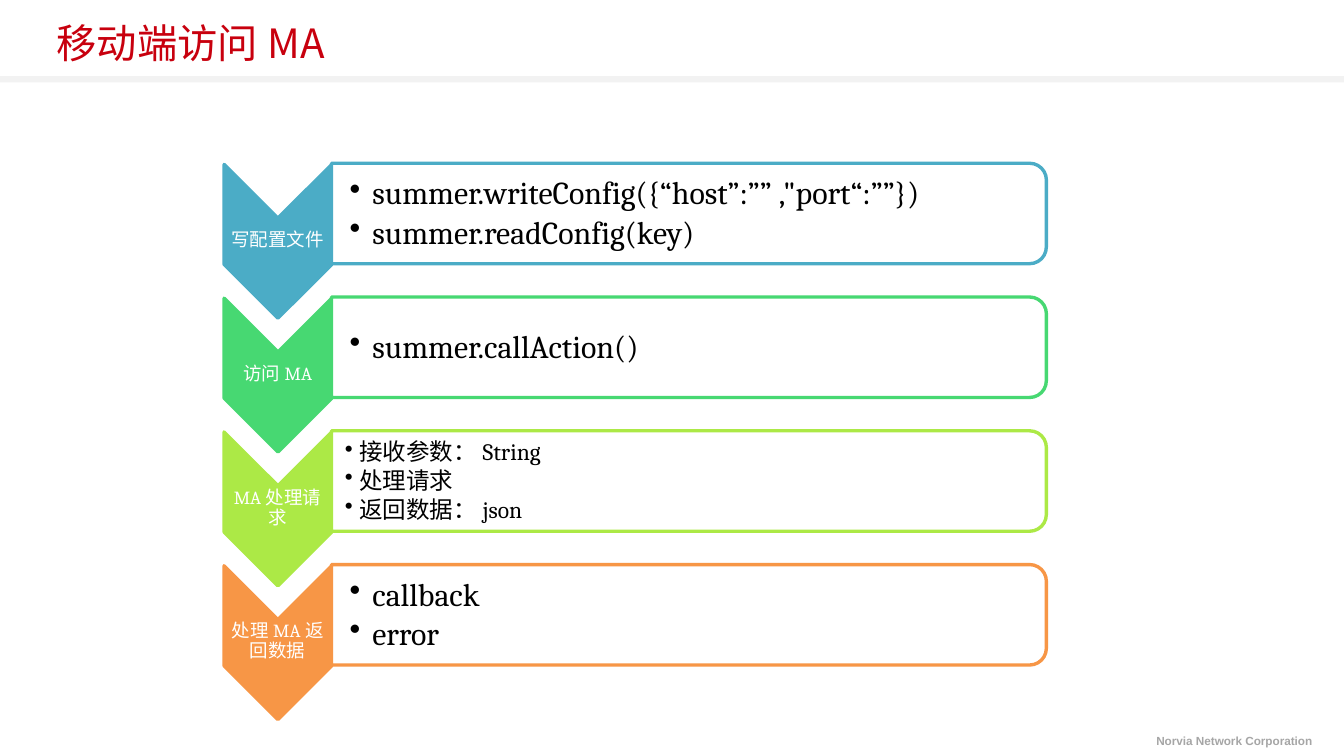
from pptx import Presentation
from pptx.util import Cm, Pt
from pptx.dml.color import RGBColor
from pptx.enum.shapes import MSO_SHAPE
from pptx.enum.text import PP_ALIGN, MSO_ANCHOR
from lxml.etree import SubElement
from pptx.oxml.ns import qn

SANS = "Noto Sans CJK SC"


def tint(code):
    return RGBColor.from_string(code)


def write(box, lines, size, color, font="Cambria", inset=(0.03, 0.03),
          hang=0, after=0, bold=False, center=False, wrap=True):
    left, top, width, height = box
    frame = slide.shapes.add_textbox(Cm(left), Cm(top), Cm(width), Cm(height)).text_frame
    frame.word_wrap = wrap
    frame.vertical_anchor = MSO_ANCHOR.MIDDLE
    frame.margin_left, frame.margin_right = Cm(inset[0]), Cm(inset[1])
    frame.margin_top = frame.margin_bottom = Cm(0.03)
    for i, line in enumerate(lines):
        para = frame.add_paragraph() if i else frame.paragraphs[0]
        para.alignment = PP_ALIGN.CENTER if center else PP_ALIGN.LEFT
        if after:
            para.line_spacing = 0.9
            para.space_after = Pt(after)
        if hang:
            props = para._p.get_or_add_pPr()
            props.set("marL", str(Cm(hang)))
            props.set("indent", str(-Cm(hang)))
            SubElement(props, qn("a:buChar")).set("char", "•")
        run = para.add_run()
        run.text = line
        run.font.size, run.font.bold, run.font.name = Pt(size), bold, font
        run.font.color.rgb = tint(color)
        SubElement(run._r.get_or_add_rPr(), qn("a:ea")).set("typeface", SANS)


deck = Presentation()
deck.slide_width, deck.slide_height = Cm(28.22), Cm(15.88)
slide = deck.slides.add_slide(deck.slide_layouts[6])

rule = slide.shapes.add_shape(MSO_SHAPE.RECTANGLE, 0, Cm(1.6), Cm(28.22), Cm(0.13))
rule.shadow.inherit = False
rule.fill.solid()
rule.fill.fore_color.rgb = tint("F2F2F2")
rule.line.fill.background()

write((0.94, 0.23, 22.81, 1.32), ["移动端访问MA"], 24, "C8000E", SANS, (0.25, 0.25))
write((24.03, 15.29, 3.96, 0.56), ["Norvia Network Corporation"], 7, "A6A6A6",
      "Arial", (0.25, 0.25), bold=True, wrap=False)

steps = [
    ("写配置文件", "4BACC6", 19,
     ["summer.writeConfig({“host”:”” ,\"port“:””})", "summer.readConfig(key)"]),
    ("访问MA", "47D872", 19, ["summer.callAction()"]),
    ("MA处理请求", "ACE946", 14, ["接收参数：String", "处理请求", "返回数据：json"]),
    ("处理MA返回数据", "F79646", 19, ["callback", "error"]),
]

for i, (label, color, size, lines) in enumerate(steps):
    drop = i * 2.81
    for kind, left, top, width, height, fill in [
        (MSO_SHAPE.CHEVRON, 4.22, 3.94, 3.23, 2.26, color),
        (MSO_SHAPE.ROUND_2_SAME_RECTANGLE, 13.41, -3.02, 2.11, 15.01, "FFFFFF"),
    ]:
        shape = slide.shapes.add_shape(kind, Cm(left), Cm(top + drop), Cm(width), Cm(height))
        shape.rotation = 90
        shape.shadow.inherit = False
        shape.fill.solid()
        shape.fill.fore_color.rgb = tint(fill)
        shape.line.color.rgb = tint(color)
        shape.line.width = Pt(2)
    write((4.7, 4.57 + drop, 2.26, 0.97), [label], 11, "FFFFFF", after=4, center=True)
    large = size == 19
    write((6.96, 3.56 + drop, 14.91, 1.88), lines, size, "000000",
          inset=(0.38 if large else 0.28, 0.03),
          hang=0.48 if large else 0.3, after=3 if large else 2)

deck.save("out.pptx")
